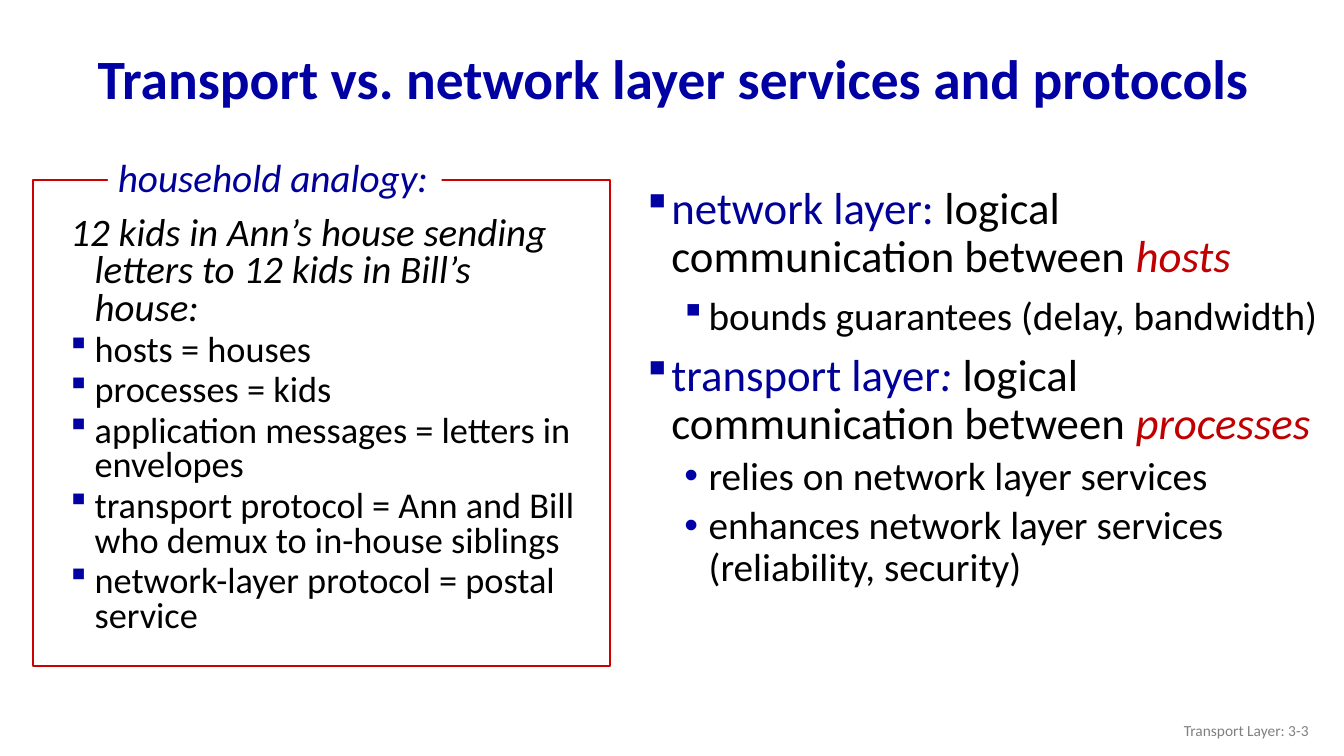
from pptx import Presentation, util as u
from pptx.dml.color import RGBColor
from pptx.enum import shapes, text
from pptx.oxml import parse_xml
from pptx.oxml.ns import nsdecls

HUE = {"title": "0000A3", "term": "000099", "ink": "000000", "frame": "CC0000",
       "key": "C00000", "dot": "0000A8", "foot": "808080", "page": "FFFFFF"}
SQUARE = ("title", "Wingdings", "§")
ROUND = ("dot", "Arial", "•")


def rgb(name):
    """Return the named colour."""
    return RGBColor.from_string(HUE[name])


def rect(slide, box, fill=None, line=None):
    """Draw a plain rectangle with an optional fill and line."""
    item = slide.shapes.add_shape(shapes.MSO_SHAPE.RECTANGLE, *map(u.Inches, box))
    item.shadow.inherit = False
    for part, hue in ((item.fill, fill), (item.line.fill, line)):
        if hue:
            part.solid()
            part.fore_color.rgb = rgb(hue)
        else:
            part.background()
    return item


def area(slide, box, anchor="TOP"):
    """Add a wrapping text box and return its frame."""
    frame = slide.shapes.add_textbox(*map(u.Inches, box)).text_frame
    frame.word_wrap = True
    frame.vertical_anchor = getattr(text.MSO_ANCHOR, anchor)
    return frame


def bullet(para, mark):
    """Give a paragraph a coloured bullet."""
    hue, font, char = mark
    ns = nsdecls("a")
    props = para._p.get_or_add_pPr()
    for xml in (f'<a:buClr {ns}><a:srgbClr val="{HUE[hue]}"/></a:buClr>',
                f'<a:buFont {ns} typeface="{font}"/>',
                f'<a:buChar {ns} char="{char}"/>'):
        props.append(parse_xml(xml))


def write(frame, runs, size, mark=None, indent=None, level=0, **form):
    """Write one paragraph of (words, colour, font values) runs."""
    para = frame.paragraphs[0]
    if para.runs:
        para = frame.add_paragraph()
    para.level = level
    for key, value in form.items():
        setattr(para, key, value)
    if indent:
        props = para._p.get_or_add_pPr()
        props.set("marL", str(u.Inches(indent)))
        props.set("indent", str(u.Inches(-0.24)))
    if mark:
        bullet(para, mark)
    for words, hue, look in runs:
        run = para.add_run()
        run.text = words
        run.font.color.rgb = rgb(hue)
        for key, value in {"name": "Calibri", "size": u.Pt(size), **look}.items():
            setattr(run.font, key, value)


def head(slide, box):
    """Place the slide title."""
    words = "Transport vs. network layer services and protocols"
    write(area(slide, box, "MIDDLE"), [(words, "title", {"bold": True})], 39.6,
          line_spacing=0.9)


def house(slide, box):
    """Place the framed household analogy."""
    left, top, wide, high = box
    rect(slide, box, line="frame").line.width = u.Pt(1.5)
    tag = rect(slide, (left + 0.74, top - 0.24, 3.31, 0.49), fill="page").text_frame
    tag.word_wrap = False
    tag.auto_size = text.MSO_AUTO_SIZE.SHAPE_TO_FIT_TEXT
    slant = {"italic": True}
    write(tag, [("household analogy:", "term", slant)], 28, line_spacing=0.8,
          alignment=text.PP_ALIGN.LEFT)
    frame = area(slide, (left + 0.12, top + 0.31, wide - 0.34, high - 0.17))
    intro = "12 kids in Ann’s house sending letters to 12 kids in Bill’s house:"
    write(frame, [(intro, "ink", slant)], 27.8, indent=0.39, line_spacing=0.8,
          space_before=u.Pt(10))
    for words in ("hosts = houses", "processes = kids",
                  "application messages = letters in envelopes",
                  "transport protocol = Ann and Bill who demux to in-house siblings",
                  "network-layer protocol = postal service"):
        write(frame, [(words, "ink", {})], 25.9, SQUARE, 0.39, line_spacing=0.8,
              space_before=u.Pt(4))


def layers(slide, box):
    """Place the two layer definitions with their details."""
    frame = area(slide, box)
    slant = {"italic": True}
    for name, colon, ends, mark, gap, notes in (
            ("network layer", {}, "hosts", SQUARE, 10,
             ["bounds guarantees (delay, bandwidth)"]),
            ("transport layer", slant, "processes", ROUND, 5,
             ["relies on network layer services",
              "enhances network layer services (reliability, security)"])):
        write(frame, [(name, "term", {}), (":", "term", colon),
                      (" logical communication between ", "ink", {}),
                      (ends, "key", slant)],
              32, SQUARE, 0.39, line_spacing=0.9, space_before=u.Pt(10))
        for note in notes:
            write(frame, [(note, "ink", {})], 28, mark, 0.76, 1, line_spacing=0.9,
                  space_before=u.Pt(gap))


def foot(slide, box):
    """Place the page label."""
    write(area(slide, box, "MIDDLE"), [("Transport Layer: 3-3", "foot", {})], 11,
          alignment=text.PP_ALIGN.RIGHT)


def main():
    """Build and save the slide."""
    deck = Presentation()
    deck.slide_width, deck.slide_height = u.Inches(13.33), u.Inches(7.5)
    slide = deck.slides.add_slide(deck.slide_layouts[6])
    head(slide, (0.87, 0.32, 12.14, 0.98))
    house(slide, (0.33, 1.79, 5.72, 4.82))
    foot(slide, (10.08, 7.05, 3, 0.4))
    layers(slide, (6.17, 1.79, 7.02, 5.08))
    deck.save("out.pptx")


main()
